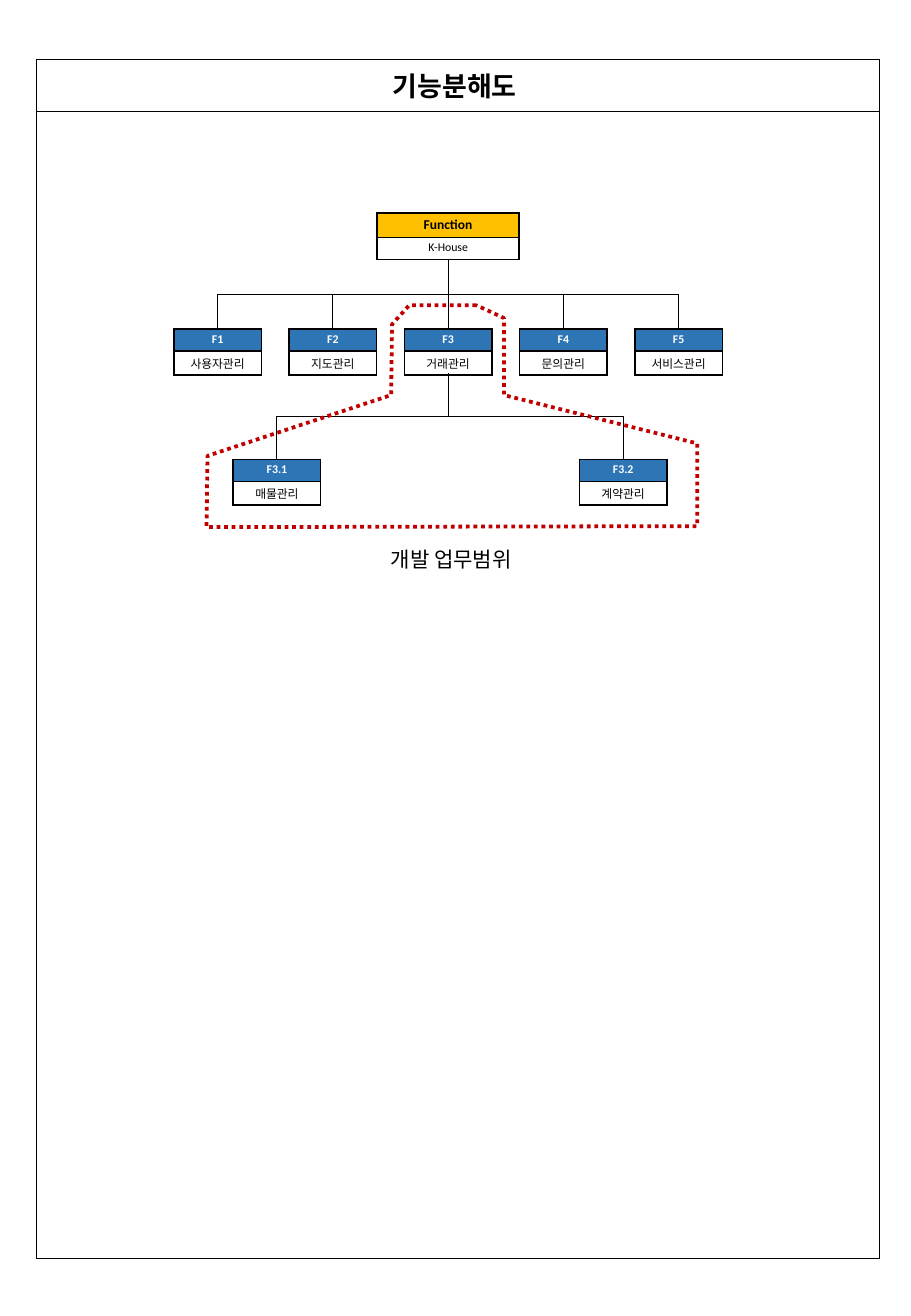
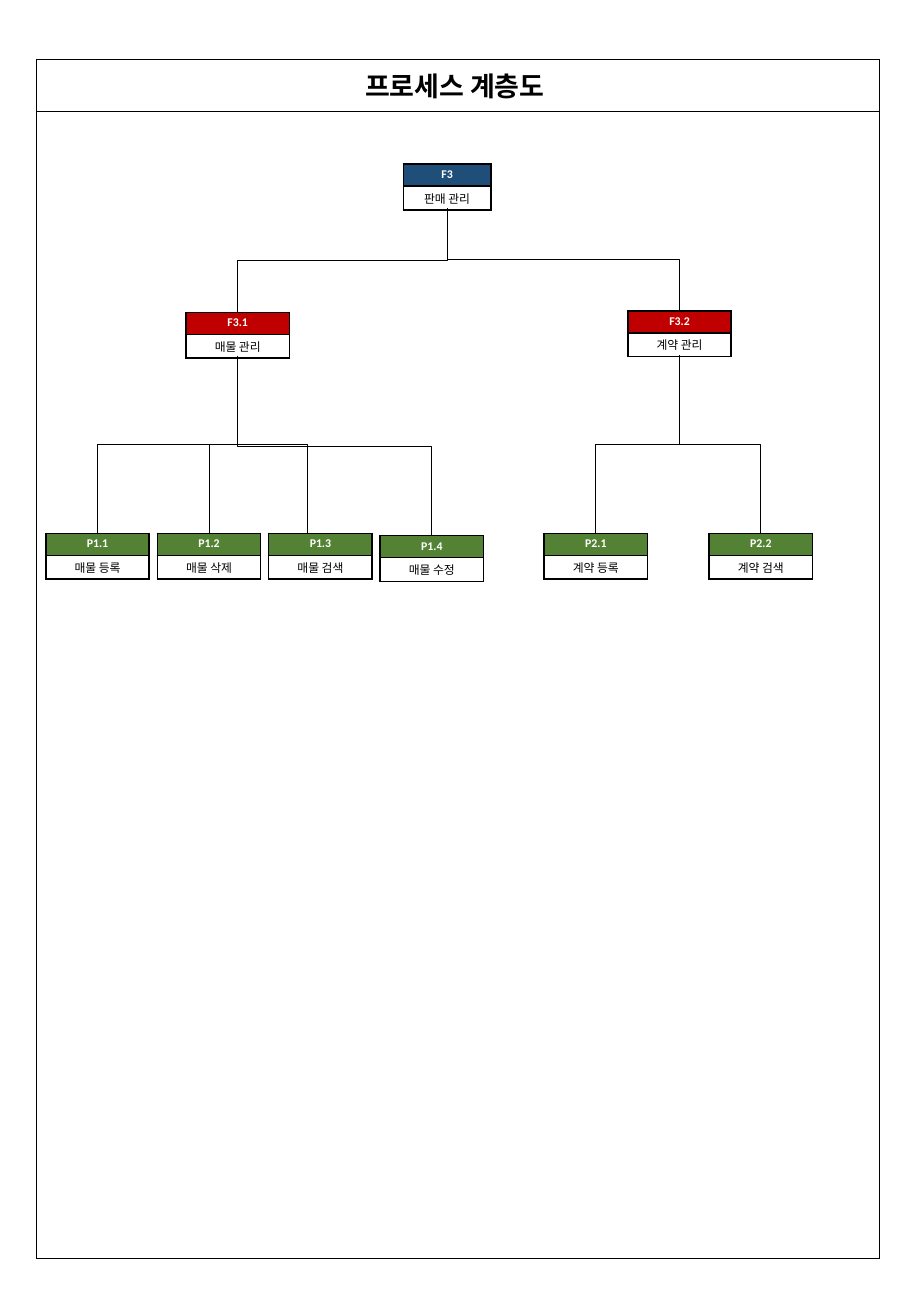
from lxml import etree
from pptx import Presentation
from pptx.dml.color import RGBColor
from pptx.enum.dml import MSO_LINE
from pptx.enum.shapes import MSO_CONNECTOR
from pptx.enum.text import MSO_ANCHOR, MSO_AUTO_SIZE, PP_ALIGN
from pptx.oxml.ns import qn
from pptx.util import Cm, Pt

CENTER, MIDDLE, TOP = PP_ALIGN.CENTER, MSO_ANCHOR.MIDDLE, MSO_ANCHOR.TOP
ELBOW, STRAIGHT = MSO_CONNECTOR.ELBOW, MSO_CONNECTOR.STRAIGHT
FIT_SHAPE, DOTTED = MSO_AUTO_SIZE.SHAPE_TO_FIT_TEXT, MSO_LINE.ROUND_DOT
FONT = "Calibri"
COLORS = {"black": "000000", "white": "FFFFFF", "gold": "FFC000", "blue": "2E75B6",
          "navy": "1F4E79", "red": "C00000", "green": "548235"}

# Node kinds: header fill, header text colour, header size, width, header height (cm)
KINDS = {
    "root": ("gold", "black", 8, 2.97, 0.51),
    "function": ("blue", "white", 7, 1.83, 0.46),
    "top": ("navy", "white", 7, 1.83, 0.46),
    "group": ("red", "white", 7, 2.16, 0.46),
    "process": ("green", "white", 7, 2.16, 0.46),
}
LABEL_HEIGHT = 0.46

# Trees: code, label, kind, centre, top (cm), parent
AXIS, FUNCTION_STEP = 9.37, 2.41
function_names = ["사용자관리", "지도관리", "거래관리", "문의관리", "서비스관리"]
function_tree = [("Function", "K-House", "root", AXIS, 4.45, None)]
for i, name in enumerate(function_names):
    function_tree.append((f"F{i + 1}", name, "function", AXIS + (i - 2) * FUNCTION_STEP,
                          6.88, "Function"))
function_tree += [("F3.1", "매물관리", "function", 5.79, 9.6, "F3"),
                  ("F3.2", "계약관리", "function", 13.03, 9.6, "F3")]

process_tree = [("F3", "판매 관리", "top", 9.35, 3.43, None),
                ("F3.1", "매물 관리", "group", 4.97, 6.53, "F3"),
                ("F3.2", "계약 관리", "group", 14.21, 6.5, "F3")]
for i, (action, top) in enumerate([("등록", 11.15), ("삭제", 11.15), ("검색", 11.15), ("수정", 11.2)]):
    process_tree.append((f"P1.{i + 1}", f"매물 {action}", "process", 2.04 + i * 2.33, top, "F3.1"))
process_tree += [("P2.1", "계약 등록", "process", 12.46, 11.15, "F3.2"),
                 ("P2.2", "계약 검색", "process", 15.91, 11.15, "F3.2")]
BRANCH_X = {"P1.3": 6.43}  # this branch meets its node left of centre


def add_stack(slide, left, top, width, heights, rows, border, margins, anchor):
    """One-column table; each row is text, size, bold, text colour, fill."""
    table = slide.shapes.add_table(len(rows), 1, Cm(left), Cm(top), Cm(width),
                                   Cm(sum(heights))).table
    table.first_row = table.horz_banding = False
    for i, (text, size, bold, color, fill) in enumerate(rows):
        table.rows[i].height = Cm(heights[i])
        cell = table.cell(i, 0)
        cell.margin_left = cell.margin_right = Cm(margins[0])
        cell.margin_top = cell.margin_bottom = Cm(margins[1])
        cell.vertical_anchor = anchor
        cell.fill.solid()
        cell.fill.fore_color.rgb = RGBColor.from_string(COLORS[fill])
        paragraph = cell.text_frame.paragraphs[0]
        paragraph.text = text
        paragraph.alignment = CENTER
        for run in paragraph.runs:
            run.font.name, run.font.size, run.font.bold = FONT, Pt(size), bold
            run.font.color.rgb = RGBColor.from_string(COLORS[color])
        properties = cell._tc.get_or_add_tcPr()
        for position, side in enumerate(["a:lnL", "a:lnR", "a:lnT", "a:lnB"]):
            line = etree.Element(qn(side), w=str(Pt(border)))
            solid = etree.SubElement(line, qn("a:solidFill"))
            etree.SubElement(solid, qn("a:srgbClr"), val=COLORS["black"])
            properties.insert(position, line)


def add_branch(slide, x1, y1, x2, y2):
    """Line down from a parent to a child, bent halfway when they are not aligned."""
    if abs(x1 - x2) < 0.01:
        branch = slide.shapes.add_connector(STRAIGHT, Cm(x1), Cm(y1), Cm(x2), Cm(y2))
    else:
        # The elbow preset runs sideways, so it is turned a quarter about its centre
        half_w, half_h = (y2 - y1) / 2, abs(x2 - x1) / 2
        mid_x, mid_y = (x1 + x2) / 2, (y1 + y2) / 2
        branch = slide.shapes.add_connector(ELBOW, Cm(mid_x - half_w), Cm(mid_y - half_h),
                                            Cm(mid_x + half_w), Cm(mid_y + half_h))
        xfrm = branch._element.spPr.find(qn("a:xfrm"))
        xfrm.set("rot", "5400000" if x2 < x1 else "16200000")
        if x2 > x1:
            xfrm.set("flipH", "1")
    branch.line.width = Pt(0.5)
    branch.line.color.rgb = RGBColor.from_string(COLORS["black"])
    etree.SubElement(branch._element.spPr, qn("a:effectLst"))


prs = Presentation()
prs.slide_width, prs.slide_height = Cm(19.05), Cm(27.51)

for title, tree in [("기능분해도 ", function_tree), ("프로세스 계층도 ", process_tree)]:
    slide = prs.slides.add_slide(prs.slide_layouts[6])

    # Page frame with title band
    add_stack(slide, 0.76, 1.24, 17.63, [1.04, 23.98],
              [(title, 16, True, "black", "white"), ("", 16, False, "black", "white")],
              0.25, (0.25, 0.13), MIDDLE)

    # Nodes and their branches
    feet = {}
    for code, label, kind, centre, top, parent in tree:
        fill, color, size, width, header_height = KINDS[kind]
        add_stack(slide, centre - width / 2, top, width, [header_height, LABEL_HEIGHT],
                  [(code, size, True, color, fill), (label, 7, False, "black", "white")],
                  1, (0.18, 0.07), TOP)
        feet[code] = (centre, top + header_height + LABEL_HEIGHT)
        if parent:
            add_branch(slide, *feet[parent], BRANCH_X.get(code, centre), top)

# Development scope outline on the first slide
slide = prs.slides[0]
scope_points = [(9.96, 6.38), (8.56, 6.38), (8.2, 6.78), (8.18, 8.26), (4.34, 9.53),
                (4.32, 11.02), (14.58, 11), (14.58, 9.27), (10.54, 8.26), (10.54, 6.65)]
corners = [(Cm(x), Cm(y)) for x, y in scope_points]
builder = slide.shapes.build_freeform(*corners[0])
builder.add_line_segments(corners[1:], close=True)
scope = builder.convert_to_shape()
scope.shadow.inherit = False
scope.fill.background()
scope.line.color.rgb = RGBColor.from_string(COLORS["red"])
scope.line.width = Pt(2.25)
scope.line.dash_style = DOTTED

# Scope caption
caption = slide.shapes.add_textbox(Cm(7.92), Cm(11.3), Cm(3.35), Cm(0.79)).text_frame
caption.word_wrap = False
caption.auto_size = FIT_SHAPE
caption.text = "개발 업무범위"
caption_font = caption.paragraphs[0].runs[0].font
caption_font.name, caption_font.size = FONT, Pt(12.5)
caption_font.color.rgb = RGBColor.from_string(COLORS["black"])

prs.save("out.pptx")
